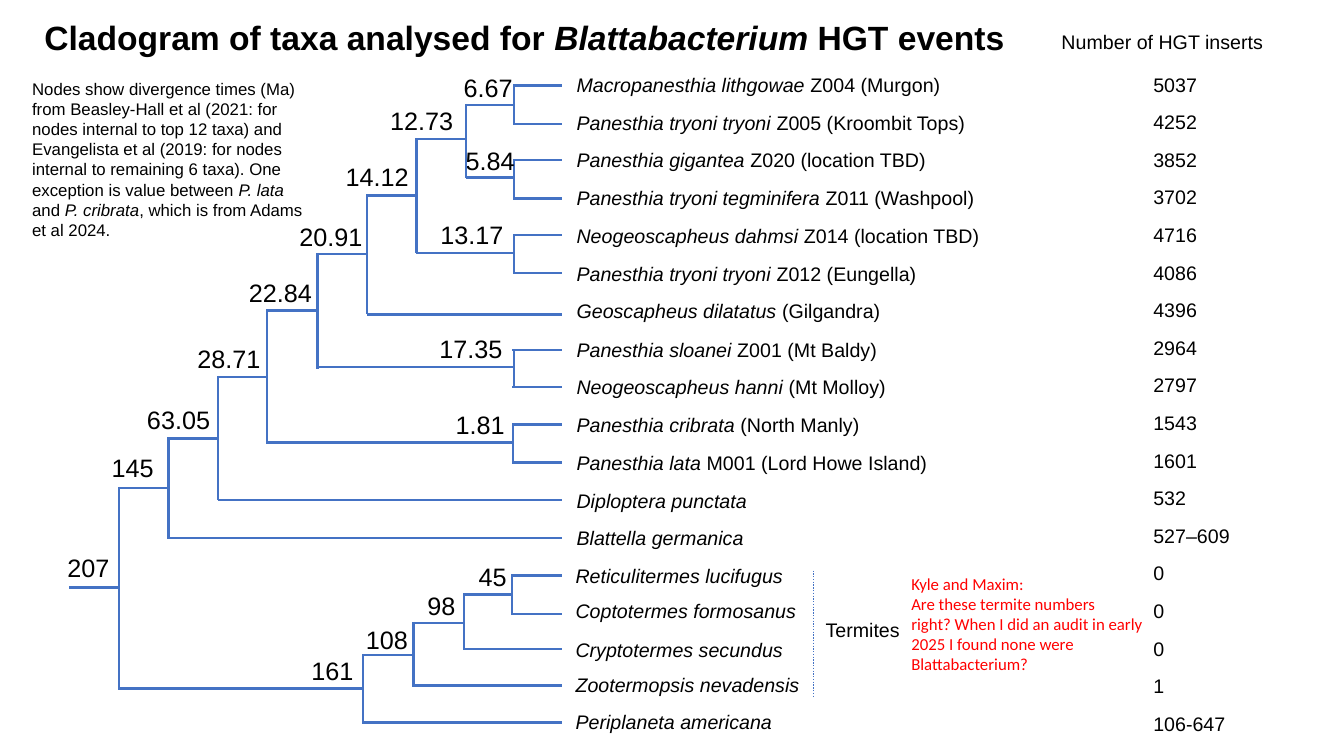
from lxml.etree import SubElement
from pptx import Presentation
from pptx.dml.color import RGBColor
from pptx.enum.dml import MSO_LINE
from pptx.enum.shapes import MSO_CONNECTOR
from pptx.enum.text import MSO_ANCHOR, MSO_AUTO_SIZE, PP_ALIGN
from pptx.oxml.ns import qn
from pptx.util import Inches, Pt

COLORS = {"text": "000000", "branch": "4472C4", "query": "FF0000"}

deck = Presentation()
deck.slide_width = Inches(13.33)
deck.slide_height = Inches(7.5)
page = deck.slides.add_slide(deck.slide_layouts[5])


def write_text(left, top, width, height, paragraphs, size,
               font="Arial", color="text", box=None):
    """Each paragraph is a list of (text, italic) spans."""
    if box is None:
        box = page.shapes.add_textbox(0, 0, 0, 0)
    box.left, box.top = Inches(left), Inches(top)
    box.width, box.height = Inches(width), Inches(height)
    frame = box.text_frame
    frame.word_wrap = True
    frame.auto_size = MSO_AUTO_SIZE.SHAPE_TO_FIT_TEXT
    frame.vertical_anchor = MSO_ANCHOR.TOP
    for number, spans in enumerate(paragraphs):
        para = frame.add_paragraph() if number else frame.paragraphs[0]
        para.alignment = PP_ALIGN.LEFT
        para.font.name = font
        para.font.size = Pt(size)
        para.font.color.rgb = RGBColor.from_string(COLORS[color])
        for text, italic in spans:
            span = para.add_run()
            span.text = text
            if italic:
                span.font.italic = True
    return box


def draw_line(x1, y1, x2, y2, weight=1.75):
    line = page.shapes.add_connector(
        MSO_CONNECTOR.STRAIGHT, Inches(x1), Inches(y1), Inches(x2), Inches(y2))
    line.line.color.rgb = RGBColor.from_string(COLORS["branch"])
    line.line.width = Pt(weight)
    SubElement(line._element.spPr, qn("a:effectLst"))
    return line


# Title and column heading
title = write_text(0.34, 0.12, 9.82, 0.5, [[
    ("Cladogram of taxa analysed for ", False),
    ("Blattabacterium", True),
    (" HGT events", False),
]], 24, box=page.shapes.title)
title.text_frame.paragraphs[0].font.bold = True
write_text(10.43, 0.25, 2.3, 0.34, [[("Number of HGT inserts", False)]], 14)

# Taxa: species, sample, label top, branch y, branch left, inserts
taxa = [
    ("Macropanesthia lithgowae", " Z004 (Murgon)", 0.67, 0.85, 5.09, "5037"),
    ("Panesthia tryoni tryoni", " Z005 (Kroombit Tops)", 1.05, 1.23, 5.09, "4252"),
    ("Panesthia gigantea", " Z020 (location TBD)", 1.42, 1.59, 5.09, "3852"),
    ("Panesthia tryoni tegminifera", " Z011 (Washpool)", 1.8, 1.97, 5.09, "3702"),
    ("Neogeoscapheus dahmsi", " Z014 (location TBD)", 2.17, 2.33, 5.09, "4716"),
    ("Panesthia tryoni tryoni", " Z012 (Eungella)", 2.55, 2.71, 5.09, "4086"),
    ("Geoscapheus dilatatus", " (Gilgandra)", 2.92, 3.12, 3.64, "4396"),
    ("Panesthia sloanei", " Z001 (Mt Baldy)", 3.3, 3.47, 5.08, "2964"),
    ("Neogeoscapheus hanni", " (Mt Molloy)", 3.67, 3.84, 5.08, "2797"),
    ("Panesthia cribrata", " (North Manly)", 4.05, 4.21, 5.08, "1543"),
    ("Panesthia lata", " M001 (Lord Howe Island)", 4.42, 4.59, 5.08, "1601"),
    ("Diploptera punctata", "", 4.8, 4.96, 2.16, "532"),
    ("Blattella germanica", "", 5.17, 5.34, 1.66, "527–609"),
    ("Reticulitermes lucifugus", "", 5.55, 5.71, 5.07, "0"),
    ("Coptotermes formosanus", "", 5.89, 6.09, 5.07, "0"),
    ("Cryptotermes secundus", "", 6.28, 6.44, 4.59, "0"),
    ("Zootermopsis nevadensis", "", 6.63, 6.8, 4.09, "1"),
    ("Periplaneta americana", "", 6.99, 7.17, 3.6, "106-647"),
]
INSERT_PITCH = 0.373
for row, (species, sample, label_top, branch_y, branch_left, inserts) in enumerate(taxa):
    spans = [(species, True)]
    if sample:
        spans.append((sample, False))
    write_text(5.62 if row < 13 else 5.61, label_top, 4.99, 0.34, [spans], 14)
    draw_line(5.57, branch_y, branch_left, branch_y)
    write_text(11.34, 0.67 + row * INSERT_PITCH, 1, 0.34, [[(inserts, False)]], 14)

# Nodes: age, label left, label top, fork x, fork top, fork bottom, stem left, stem y
nodes = [
    ("6.67", 4.5, 0.67, 5.1, 0.85, 1.23, 4.61, 1.04),
    ("5.84", 4.52, 1.39, 5.1, 1.59, 1.97, 4.62, 1.76),
    ("12.73", 3.77, 1, 4.62, 1.03, 1.77, 4.12, 1.38),
    ("13.17", 4.27, 2.13, 5.1, 2.33, 2.71, 4.13, 2.51),
    ("14.12", 3.33, 1.55, 4.13, 1.37, 2.51, 3.63, 1.94),
    ("20.91", 2.87, 2.15, 3.64, 1.93, 3.12, 3.14, 2.52),
    ("17.35", 4.26, 3.26, 5.1, 3.47, 3.84, 3.14, 3.64),
    ("22.84", 2.37, 2.7, 3.15, 2.51, 3.66, 2.65, 3.08),
    ("1.81", 4.42, 4.01, 5.09, 4.21, 4.59, 2.65, 4.39),
    ("28.71", 1.86, 3.36, 2.65, 3.07, 4.4, 2.16, 3.74),
    ("63.05", 1.36, 3.96, 2.16, 3.73, 4.96, 1.66, 4.35),
    ("145", 1.01, 4.44, 1.67, 4.34, 5.34, 1.17, 4.84),
    ("45", 4.65, 5.52, 5.08, 5.71, 6.09, 4.59, 5.9),
    ("98", 4.14, 5.81, 4.6, 5.89, 6.44, 4.09, 6.18),
    ("108", 3.53, 6.14, 4.1, 6.17, 6.8, 3.6, 6.5),
    ("161", 2.99, 6.45, 3.6, 6.49, 7.18, 1.17, 6.83),
    ("207", 0.57, 5.43, 1.18, 4.83, 6.83, 0.68, 5.83),
]
for age, label_left, label_top, fork_x, fork_top, fork_bottom, stem_left, stem_y in nodes:
    draw_line(fork_x, fork_top, fork_x, fork_bottom)
    draw_line(fork_x, stem_y, stem_left, stem_y)
    write_text(label_left, label_top, 0.9, 0.4, [[(age, False)]], 18)

# Note on divergence times
write_text(0.22, 0.73, 3.02, 1.72, [
    [("Nodes show divergence times (Ma) from Beasley-Hall et al (2021: for nodes "
      "internal to top 12 taxa) and Evangelista et al (2019: for nodes internal to "
      "remaining 6 taxa). One exception is value between ", False),
     ("P. lata", True)],
    [("and ", False), ("P. cribrata", True),
     (", which is from Adams et al 2024.", False)],
], 12)

# Termite bracket and query
bracket = draw_line(8.07, 5.66, 8.07, 6.92, weight=1)
bracket.line.dash_style = MSO_LINE.ROUND_DOT
write_text(8.09, 6.08, 1, 0.34, [[("Termites", False)]], 14)
write_text(8.94, 5.64, 2.53, 1.11, [
    [("Kyle and Maxim:", False)],
    [("Are these termite numbers", False)],
    [("right? When I did an audit in early 2025 I found none were "
      "Blattabacterium?", False)],
], 12, font="Calibri", color="query")

deck.save("out.pptx")
